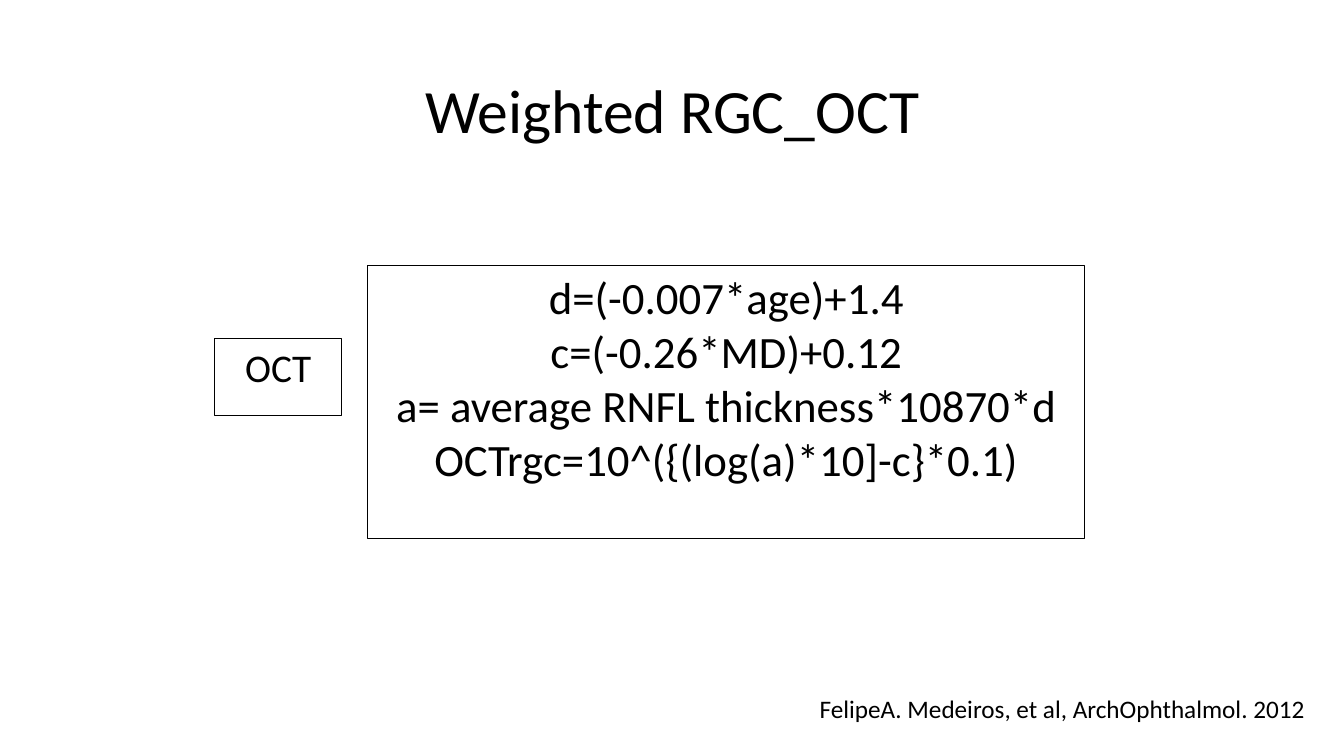
from dataclasses import dataclass

import pptx
import pptx.dml.color
import pptx.enum.shapes
import pptx.enum.text
import pptx.util


@dataclass(frozen=True)
class Theme:
    font: str = "Calibri"
    ink: str = "000000"
    title: int = 44
    formula: int = 32
    label: int = 28
    citation: int = 18
    outline: float = 0.75


THEME = Theme()
INK = pptx.dml.color.RGBColor.from_string(THEME.ink)
ALIGN = pptx.enum.text.PP_ALIGN
ANCHOR = pptx.enum.text.MSO_ANCHOR
SLIDE_WIDTH = pptx.util.Inches(13.33)
SLIDE_HEIGHT = pptx.util.Inches(7.5)

FORMULAS = [
    "d=(-0.007*age)+1.4",
    "c=(-0.26*MD)+0.12",
    "a= average RNFL thickness*10870*d",
    "OCTrgc=10^({(log(a)*10]-c}*0.1)",
]


def place(left, top, width, height):
    """Turn percentages of the slide into lengths."""
    return (
        round(SLIDE_WIDTH * left / 100),
        round(SLIDE_HEIGHT * top / 100),
        round(SLIDE_WIDTH * width / 100),
        round(SLIDE_HEIGHT * height / 100),
    )


def write_lines(shape, lines, size, align=ALIGN.CENTER, anchor=ANCHOR.TOP, spacing=1.0):
    frame = shape.text_frame
    frame.word_wrap = True
    frame.vertical_anchor = anchor
    for index, line in enumerate(lines):
        paragraph = frame.add_paragraph() if index else frame.paragraphs[0]
        paragraph.alignment = align
        paragraph.line_spacing = spacing
        run = paragraph.add_run()
        run.text = line
        run.font.name = THEME.font
        run.font.size = pptx.util.Pt(size)
        run.font.color.rgb = INK


def add_text(slide, area, line, size, **layout):
    shape = slide.shapes.add_textbox(*place(*area))
    write_lines(shape, [line], size, **layout)


def add_outlined_box(slide, area, lines, size):
    rectangle = pptx.enum.shapes.MSO_SHAPE.RECTANGLE
    shape = slide.shapes.add_shape(rectangle, *place(*area))
    shape.shadow.inherit = False
    shape.fill.background()
    shape.line.color.rgb = INK
    shape.line.width = pptx.util.Pt(THEME.outline)
    write_lines(shape, lines, size)


def main():
    presentation = pptx.Presentation()
    presentation.slide_width = SLIDE_WIDTH
    presentation.slide_height = SLIDE_HEIGHT
    slide = presentation.slides.add_slide(presentation.slide_layouts[6])

    add_text(slide, (6.9, 5.33, 86.27, 19.33), "Weighted RGC_OCT", THEME.title,
             anchor=ANCHOR.MIDDLE, spacing=0.9)
    add_outlined_box(slide, (27.38, 35.07, 53.34, 36.13), FORMULAS, THEME.formula)
    add_outlined_box(slide, (15.98, 44.8, 9.45, 10.13), ["OCT"], THEME.label)
    add_text(slide, (57.24, 91.07, 40.59, 13.6),
             "FelipeA. Medeiros, et al, ArchOphthalmol. 2012", THEME.citation,
             align=ALIGN.RIGHT)

    presentation.save("out.pptx")


if __name__ == "__main__":
    main()
